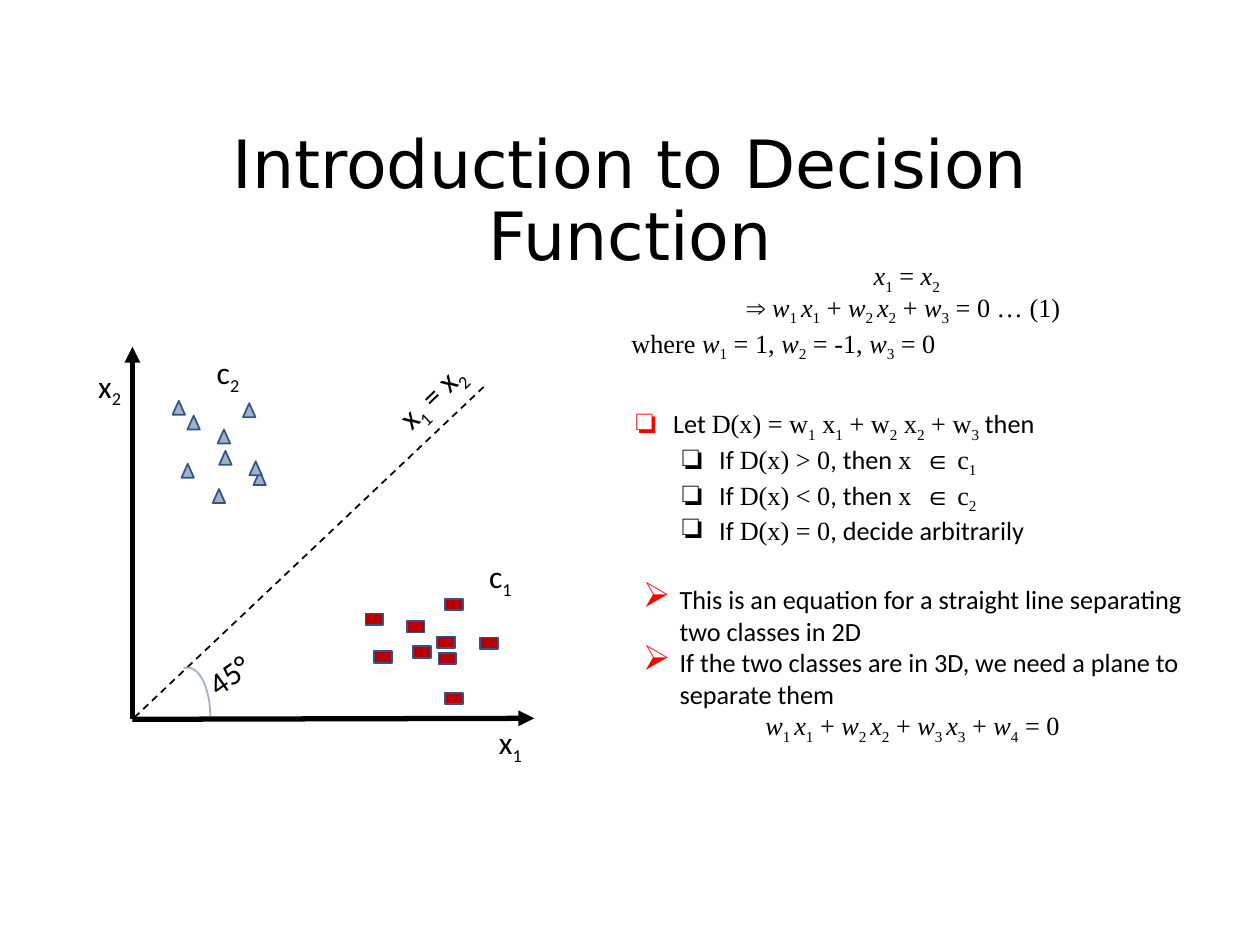
"""Build the slide that introduces decision functions for two classes."""
from dataclasses import dataclass
from typing import Any, Iterator, Optional

import lxml.etree
import pptx
import pptx.dml.color
import pptx.enum.dml
import pptx.enum.shapes
import pptx.enum.text
import pptx.oxml
import pptx.oxml.ns
import pptx.util

Cm = pptx.util.Cm
Pt = pptx.util.Pt
Shapes = pptx.enum.shapes.MSO_SHAPE
Align = pptx.enum.text.PP_ALIGN

COLORS = {
    "ink": "000000",
    "accent": "FF0000",
    "first_class": "B90000",
    "second_class": "A3B2C1",
    "outline": "31538F",
}
SANS, SERIF = "Calibri", "Times New Roman"
MARKS = {"~": "subscript", "*": "italic", "^": "bold", "|": "serif"}


@dataclass(frozen=True)
class Line:
    """A paragraph whose marks switch subscript, italic, bold and serif."""
    text: str
    align: Any = Align.LEFT
    bullet: str = ""
    bullet_color: str = "accent"
    margin: float = 0
    level: int = 0
    space_before: float = 0


@dataclass(frozen=True)
class TextBlock:
    """A text box in centimetres with its lines and common font."""
    left: float
    top: float
    width: float
    height: float
    lines: tuple[Line, ...]
    size: float = 15
    font: str = SANS
    rotation: float = 0
    inset: float = 0.18
    wrap: bool = True
    anchor: Any = pptx.enum.text.MSO_ANCHOR.TOP
    line_spacing: Optional[float] = None


@dataclass(frozen=True)
class Cluster:
    """The equal markers of one class."""
    shape_type: Any
    fill: str
    width: float
    height: float
    places: tuple[tuple[float, float], ...]


@dataclass(frozen=True)
class Stroke:
    """A straight line of the diagram."""
    start: tuple[float, float]
    end: tuple[float, float]
    width: float = 3
    arrow: bool = True


def label(left: float, top: float, width: float, text: str, rotation: float = 0) -> TextBlock:
    """Describe a short diagram label."""
    return TextBlock(left, top, width, 0.97, (Line(text),), size=18,
                     rotation=rotation, inset=0.1, wrap=False)


def formula_line(text: str, margin: float = 0) -> Line:
    """Describe a centred serif formula."""
    return Line(f"|{text}|", Align.CENTER, margin=margin)


def case_line(text: str) -> Line:
    """Describe one case of the decision rule."""
    return Line(text, bullet="❏", bullet_color="ink", margin=1.9, level=1)


def remark_line(text: str, space_before: float = 0) -> Line:
    """Describe a remark with an arrow bullet."""
    return Line(text, bullet="➢", margin=0.97, space_before=space_before)


ORIGIN = (2.67, 14.5)
STROKES = (
    Stroke((9.75, 7.8), ORIGIN, width=1, arrow=False),
    Stroke(ORIGIN, (10.77, 14.48)),
    Stroke(ORIGIN, (2.67, 6.99)),
)
CLUSTERS = (
    Cluster(Shapes.ISOSCELES_TRIANGLE, "second_class", 0.25, 0.28, (
        (3.48, 8.08), (3.78, 8.38), (4.39, 8.66), (3.66, 9.35), (4.29, 9.86),
        (5.11, 9.5), (4.9, 8.13), (4.42, 9.09), (5.03, 9.3))),
    Cluster(Shapes.RECTANGLE, "first_class", 0.36, 0.23, (
        (7.37, 12.37), (8.2, 12.52), (8.97, 12.07), (7.54, 13.13), (8.81, 12.83),
        (8.97, 13.97), (9.68, 12.85), (8.33, 13.03), (8.84, 13.16))),
)
TEXT_BLOCKS = (
    TextBlock(1.75, 3.15, 21.92, 1.9,
              (Line("Introduction to Decision Function", Align.CENTER),),
              size=38, font="DejaVu Sans", inset=0.1,
              anchor=pptx.enum.text.MSO_ANCHOR.MIDDLE, line_spacing=0.9),
    label(1.8, 7.29, 0.91, "x~2~"),
    label(9.88, 14.48, 0.91, "x~1~"),
    label(7.7, 7.42, 2.13, "x~1~ = x~2~", 315.9),
    label(4.19, 7.01, 1.07, "c~2~"),
    label(9.68, 11.13, 1.09, "c~1~"),
    label(3.99, 13.08, 1.35, "45°", 325.1),
    TextBlock(12.55, 5.05, 11.46, 0.97, (formula_line("*x*~1~ = *x*~2~"),)),
    TextBlock(12.55, 5.69, 11.46, 1.96, (
        formula_line("⇒ *w*~1 ~*x*~1~ + *w*~2 ~*x*~2~ + *w*~3~ = 0 … (1) "),
        Line("|where *w*~1~ = 1, *w*~2~ = -1, *w*~3~ = 0|"))),
    TextBlock(12.42, 8.03, 11.46, 3.25, (
        Line("Let |D(x) = w~1~ x~1~ + w~2~ x~2~ + w~3~| then",
             bullet="❏", margin=0.97, space_before=7.5),
        case_line("If |D(x) > 0|, then |x  ^∈^ c~1~|"),
        case_line("If |D(x) < 0|, then |x  ^∈^ c~2~|"),
        case_line("If |D(x) = 0|, decide arbitrarily"))),
    TextBlock(12.55, 11.58, 11.46, 3.96, (
        remark_line("This is an equation for a straight line separating two classes in 2D", 7.5),
        remark_line("If the two classes are in 3D, we need a plane to separate them"),
        formula_line("*w*~1 ~*x*~1~ + *w*~2 ~*x*~2~ + *w*~3 ~*x*~3~ + *w*~4~ = 0", 0.97))),
)


def color(name: str) -> pptx.dml.color.RGBColor:
    """Return the named colour."""
    return pptx.dml.color.RGBColor.from_string(COLORS[name])


def add_child(parent: Any, tag: str, **attributes: str) -> Any:
    """Append a drawing element with its attributes."""
    return lxml.etree.SubElement(parent, pptx.oxml.ns.qn(tag), attributes)


def split_runs(text: str) -> Iterator[tuple[str, frozenset[str]]]:
    """Yield each piece of marked text with its active styles."""
    piece, styles = "", frozenset()
    for character in text:
        if character not in MARKS:
            piece += character
            continue
        if piece:
            yield piece, styles
        piece, styles = "", styles ^ {MARKS[character]}
    if piece:
        yield piece, styles


def write_line(paragraph: Any, line: Line, block: TextBlock) -> None:
    """Fill a paragraph with its runs, indents and bullet."""
    paragraph.alignment = line.align
    paragraph.level = line.level
    paragraph.space_before = Pt(line.space_before)
    if block.line_spacing:
        paragraph.line_spacing = block.line_spacing
    properties = paragraph._p.get_or_add_pPr()
    if line.margin:
        properties.set("marL", str(Cm(line.margin)))
        properties.set("indent", str(Cm(-0.74)))
    if line.bullet:
        bullet_color = add_child(properties, "a:buClr")
        add_child(bullet_color, "a:srgbClr", val=COLORS[line.bullet_color])
        add_child(properties, "a:buSzPct", val="133000")
        add_child(properties, "a:buChar", char=line.bullet)
    for text, styles in split_runs(line.text):
        run = paragraph.add_run()
        run.text = text
        run.font.size = Pt(block.size)
        run.font.name = SERIF if "serif" in styles else block.font
        run.font.color.rgb = color("ink")
        run.font.italic = "italic" in styles
        run.font.bold = "bold" in styles
        if "subscript" in styles:
            run._r.get_or_add_rPr().set("baseline", "-25000")


def draw_text(slide: Any, block: TextBlock) -> None:
    """Draw a text box."""
    shape = slide.shapes.add_textbox(Cm(block.left), Cm(block.top), Cm(block.width), Cm(block.height))
    shape.rotation = block.rotation
    text_frame = shape.text_frame
    text_frame.word_wrap = block.wrap
    text_frame.vertical_anchor = block.anchor
    text_frame.margin_left = text_frame.margin_right = Cm(0.18)
    text_frame.margin_top = text_frame.margin_bottom = Cm(block.inset)
    for index, line in enumerate(block.lines):
        paragraph = text_frame.add_paragraph() if index else text_frame.paragraphs[0]
        write_line(paragraph, line, block)


def draw_cluster(slide: Any, cluster: Cluster) -> None:
    """Draw all markers of one class."""
    for left, top in cluster.places:
        shape = slide.shapes.add_shape(cluster.shape_type, Cm(left), Cm(top),
                                       Cm(cluster.width), Cm(cluster.height))
        shape.shadow.inherit = False
        shape.fill.solid()
        shape.fill.fore_color.rgb = color(cluster.fill)
        shape.line.color.rgb = color("outline")
        shape.line.width = Pt(1)


def draw_stroke(slide: Any, stroke: Stroke) -> None:
    """Draw an axis with an arrowhead or a dashed boundary."""
    connector = slide.shapes.add_connector(pptx.enum.shapes.MSO_CONNECTOR.STRAIGHT,
                                           *map(Cm, stroke.start + stroke.end))
    connector.line.color.rgb = color("ink")
    connector.line.width = Pt(stroke.width)
    if stroke.arrow:
        add_child(connector.line._get_or_add_ln(), "a:tailEnd", type="triangle")
    else:
        connector.line.dash_style = pptx.enum.dml.MSO_LINE.DASH
    add_child(connector._element.spPr, "a:effectLst")


def draw_angle(slide: Any) -> None:
    """Draw the arc between the horizontal axis and the boundary."""
    arc = slide.shapes.add_shape(Shapes.ARC, Cm(3.33), Cm(13.46), Cm(0.91), Cm(1.96))
    arc.adjustments[0] = 159
    arc.shadow.inherit = False
    arc.fill.background()
    arc.line.color.rgb = color("second_class")
    arc.line.width = Pt(1)


def main() -> None:
    """Build and save the presentation."""
    presentation = pptx.Presentation()
    presentation.slide_width, presentation.slide_height = Cm(25.4), Cm(19.05)
    slide = presentation.slides.add_slide(presentation.slide_layouts[6])
    for stroke in STROKES:
        draw_stroke(slide, stroke)
    for cluster in CLUSTERS:
        draw_cluster(slide, cluster)
    draw_angle(slide)
    for block in TEXT_BLOCKS:
        draw_text(slide, block)
    presentation.save("out.pptx")


if __name__ == "__main__":
    main()
